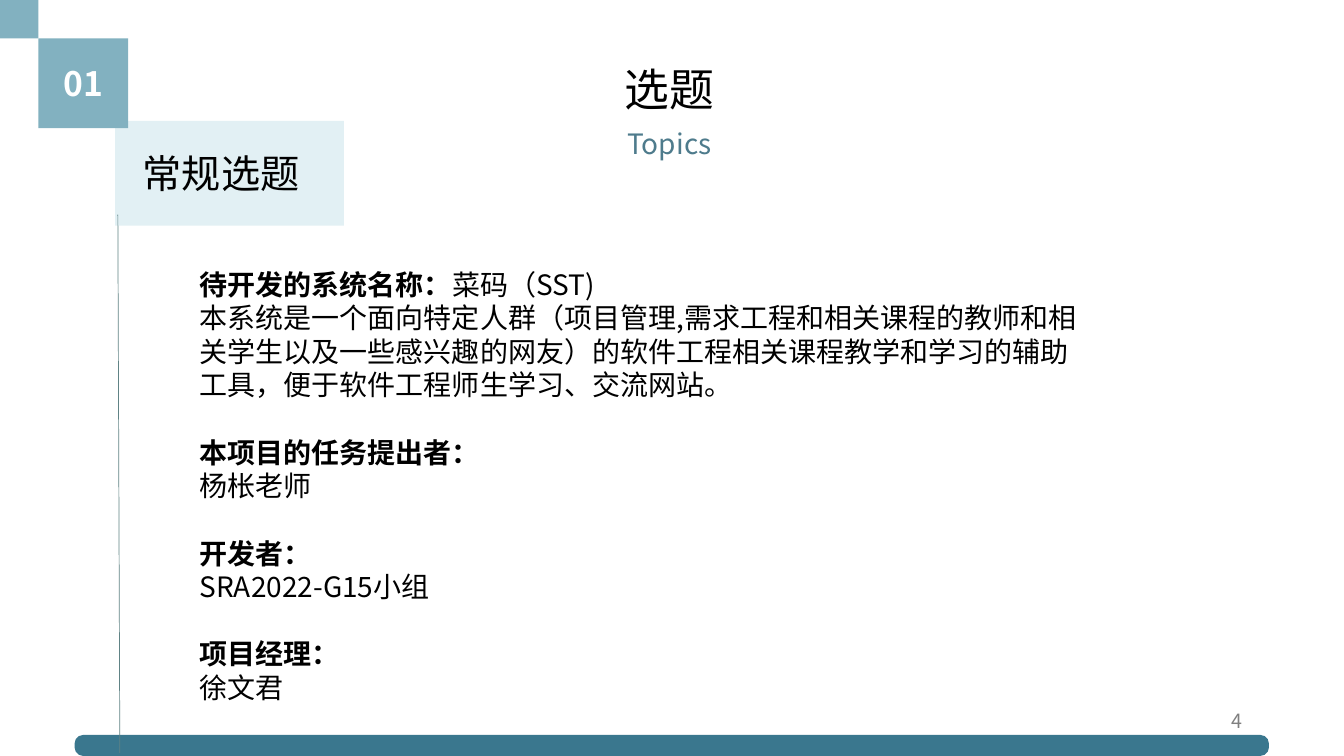
"""Build the topic slide with its title, side label and project details."""
from lxml.etree import SubElement
from pptx import Presentation
from pptx.dml.color import RGBColor
from pptx.enum.shapes import MSO_CONNECTOR, MSO_SHAPE
from pptx.enum.text import MSO_ANCHOR, MSO_AUTO_SIZE, PP_ALIGN
from pptx.oxml.ns import qn
from pptx.util import Cm, Pt

FONT = "Noto Sans CJK SC"
COLORS = {
    "black": "000000",
    "white": "FFFFFF",
    "pale": "E2F0F4",
    "teal": "82B1C0",
    "deep": "3A778E",
    "sub": "4E7B8C",
    "rule": "608385",
    "gray": "808080",
}
DETAILS = [
    [("待开发的系统名称：", True), ("菜码（SST)", False)],
    [("本系统是一个面向特定人群（项目管理,需求工程和相关课程的教师和"
      "相关学生以及一些感兴趣的网友）的软件工程相关课程教学和学习的辅"
      "助工具，便于软件工程师生学习、交流网站。", False)],
    [("本项目的任务提出者：", True)],
    [("杨枨老师", False)],
    [("开发者：", True)],
    [("SRA2022-G15小组", False)],
    [("项目经理：", True)],
    [("徐文君", False)],
]


def color(name):
    return RGBColor.from_string(COLORS[name])


def place(shape, left, top, width, height):
    shape.left, shape.top = Cm(left), Cm(top)
    shape.width, shape.height = Cm(width), Cm(height)
    return shape


def write(shape, lines, size=20, tint="black", align=PP_ALIGN.LEFT,
          anchor=MSO_ANCHOR.TOP, face=FONT):
    frame = shape.text_frame
    frame.word_wrap = True
    frame.auto_size = MSO_AUTO_SIZE.NONE
    frame.vertical_anchor = anchor
    frame.margin_left = frame.margin_right = Cm(0.25)
    frame.margin_top = frame.margin_bottom = Cm(0.13)
    for index, runs in enumerate(lines):
        para = frame.add_paragraph() if index else frame.paragraphs[0]
        props = para._p.get_or_add_pPr()
        props.set("marL", "0")
        props.set("indent", "0")
        SubElement(props, qn("a:buNone"))
        para.alignment = align
        para.line_spacing = Pt(size * 1.2)
        gap = index > 0 and runs[0][1]
        para.space_before = Pt(size * 1.2 if gap else 0)
        for text, bold in runs:
            run = para.add_run()
            run.text = text
            run.font.size = Pt(size)
            run.font.bold = bold
            run.font.name = face
            run.font.color.rgb = color(tint)
            SubElement(run._r.rPr, qn("a:ea")).set("typeface", FONT)


def block(slide, area, fill, kind=MSO_SHAPE.RECTANGLE):
    shape = slide.shapes.add_shape(kind, *map(Cm, area))
    shape.shadow.inherit = False
    shape.fill.solid()
    shape.fill.fore_color.rgb = color(fill)
    shape.line.fill.background()
    return shape


def label(slide, area, text, **style):
    box = slide.shapes.add_textbox(*map(Cm, area))
    write(box, [[(text, False)]], **style)


def rule(slide, start, end):
    line = slide.shapes.add_connector(
        MSO_CONNECTOR.STRAIGHT, *map(Cm, start + end))
    line.line.color.rgb = color("rule")
    line.line.width = Pt(0.5)
    SubElement(line._element.spPr, qn("a:effectLst"))


def main():
    deck = Presentation()
    deck.slide_width, deck.slide_height = Cm(33.87), Cm(19.05)
    slide = deck.slides.add_slide(deck.slide_layouts[1])

    title = place(slide.shapes.title, 4.37, 1.42, 25, 1.63)
    write(title, [[("选题", False)]], size=32, align=PP_ALIGN.CENTER)
    label(slide, (4.37, 3.07, 25, 1.12), "Topics", tint="sub",
          align=PP_ALIGN.CENTER)

    block(slide, (2.9, 3.05, 5.77, 2.64), "pale")
    block(slide, (0, 0, 0.97, 0.97), "teal")
    badge = block(slide, (0.97, 0.97, 2.26, 2.26), "teal")
    write(badge, [[("01", True)]], size=24, tint="white",
          align=PP_ALIGN.CENTER, anchor=MSO_ANCHOR.MIDDLE)
    label(slide, (3.35, 3.63, 4.88, 1.45), "常规选题", size=28, face="Calibri")

    bar = block(slide, (1.88, 18.52, 30.1, 0.53), "deep",
                MSO_SHAPE.ROUNDED_RECTANGLE)
    bar.adjustments[0] = 0.41
    rule(slide, (3.02, 18.97), (2.97, 5.41))

    body = place(slide.placeholders[1], 4.78, 6.6, 22.66, 11.38)
    write(body, DETAILS)
    label(slide, (23.93, 17.65, 7.62, 1.02), "4", size=14, tint="gray",
          align=PP_ALIGN.RIGHT, anchor=MSO_ANCHOR.MIDDLE)
    deck.save("out.pptx")


if __name__ == "__main__":
    main()
